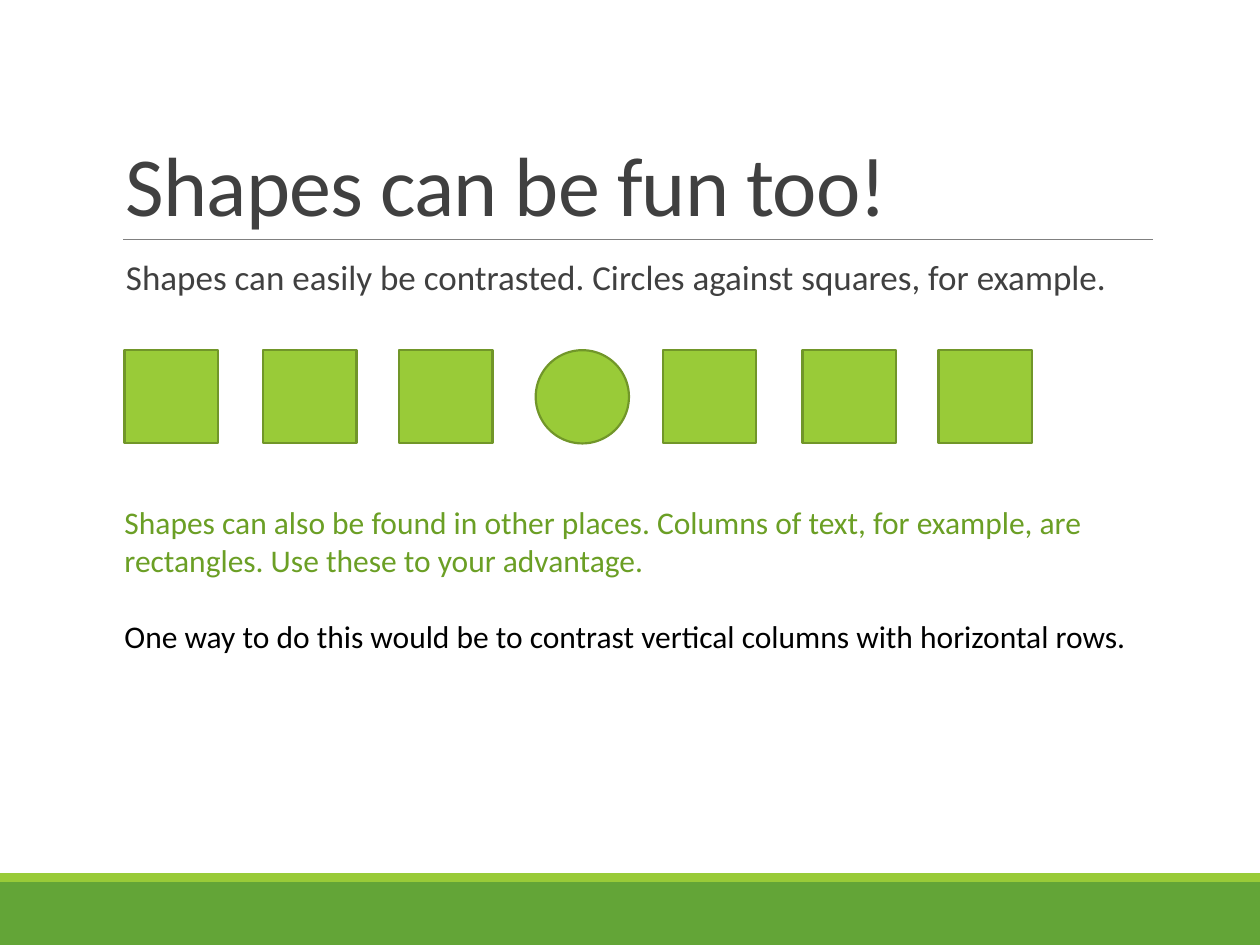
from lxml.etree import SubElement
from pptx import Presentation
from pptx.dml.color import RGBColor
from pptx.enum.shapes import MSO_CONNECTOR, MSO_SHAPE
from pptx.enum.text import MSO_ANCHOR
from pptx.oxml.ns import qn
from pptx.util import Cm, Pt


def color(code):
    return RGBColor.from_string(code)


class Painter:
    """Draws styled elements on the current slide."""

    font = "Calibri"
    lime = "99CB38"
    green = "63A537"
    outline = "719629"
    dark = "404040"

    def __init__(self, page):
        self.page = page

    def shape(self, kind, left, top, width, height, fill, line=None):
        item = self.page.shapes.add_shape(kind, Cm(left), Cm(top), Cm(width), Cm(height))
        item.shadow.inherit = False
        item.fill.solid()
        item.fill.fore_color.rgb = color(fill)
        if line:
            item.line.color.rgb = color(line)
            item.line.width = Pt(1.25)
        else:
            item.line.fill.background()

    def rule(self, left, right, top):
        line = self.page.shapes.add_connector(
            MSO_CONNECTOR.STRAIGHT, Cm(left), Cm(top), Cm(right), Cm(top))
        line.line.color.rgb = color("808080")
        line.line.width = Pt(0.5)
        SubElement(line._element.spPr, qn("a:effectLst"))

    def text(self, left, top, width, height, paragraphs, size,
             anchor=MSO_ANCHOR.TOP, spacing=1.0, gap=0, tracking=0):
        box = self.page.shapes.add_textbox(Cm(left), Cm(top), Cm(width), Cm(height))
        frame = box.text_frame
        frame.word_wrap = True
        frame.vertical_anchor = anchor
        for index, (words, code) in enumerate(paragraphs):
            para = frame.add_paragraph() if index else frame.paragraphs[0]
            span = para.add_run()
            span.text = words
            if tracking:
                span._r.get_or_add_rPr().set("spc", str(tracking))
            para.line_spacing = spacing
            if index:
                para.space_before = Pt(gap)
            para.font.name = self.font
            para.font.size = Pt(size)
            para.font.color.rgb = color(code)


def main():
    deck = Presentation()
    deck.slide_width, deck.slide_height = Cm(25.4), Cm(19.05)
    painter = Painter(deck.slides.add_slide(deck.slide_layouts[6]))

    painter.shape(MSO_SHAPE.RECTANGLE, 0, 17.78, 25.4, 1.27, painter.green)
    painter.shape(MSO_SHAPE.RECTANGLE, 0, 17.6, 25.4, 0.18, painter.lime)
    painter.rule(2.48, 23.24, 4.83)
    painter.text(2.29, 0.79, 20.96, 4.04, [("Shapes can be fun too!", painter.dark)],
                 48, anchor=MSO_ANCHOR.BOTTOM, spacing=0.85, tracking=-50)
    painter.text(2.29, 5.13, 21.2, 1.2, [
        ("Shapes can easily be contrasted. Circles against squares, for example.", painter.dark),
    ], 20, spacing=0.9)

    square, circle = MSO_SHAPE.RECTANGLE, MSO_SHAPE.OVAL
    row = [(square, 2.51), (square, 5.31), (square, 8.05), (circle, 10.8),
           (square, 13.36), (square, 16.18), (square, 18.92)]
    for kind, left in row:
        painter.shape(kind, left, 7.06, 1.88, 1.88, painter.lime, painter.outline)

    painter.text(2.26, 10.01, 20.78, 3.33, [
        ("Shapes can also be found in other places. Columns of text, for example, "
         "are rectangles. Use these to your advantage.", "6B9F25"),
        ("One way to do this would be to contrast vertical columns with horizontal rows.",
         "000000"),
    ], 18, gap=22)
    deck.save("out.pptx")


if __name__ == "__main__":
    main()
